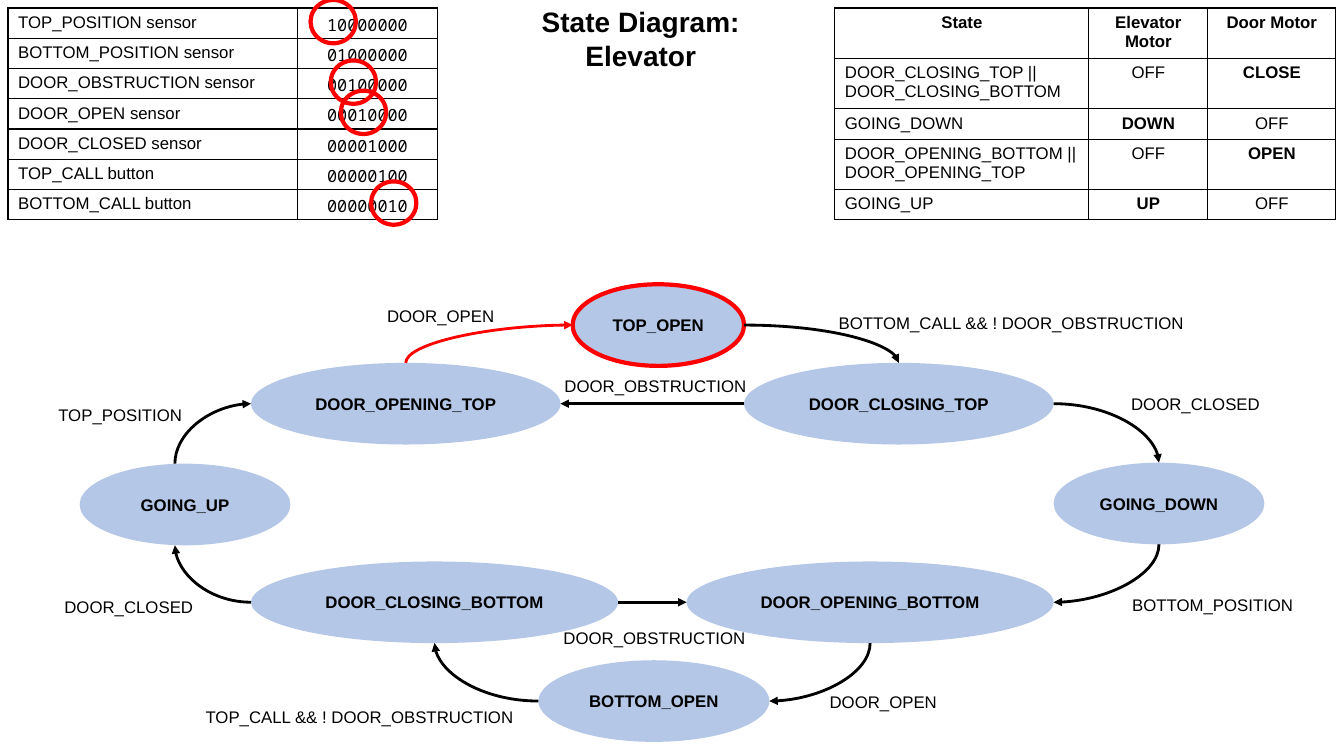
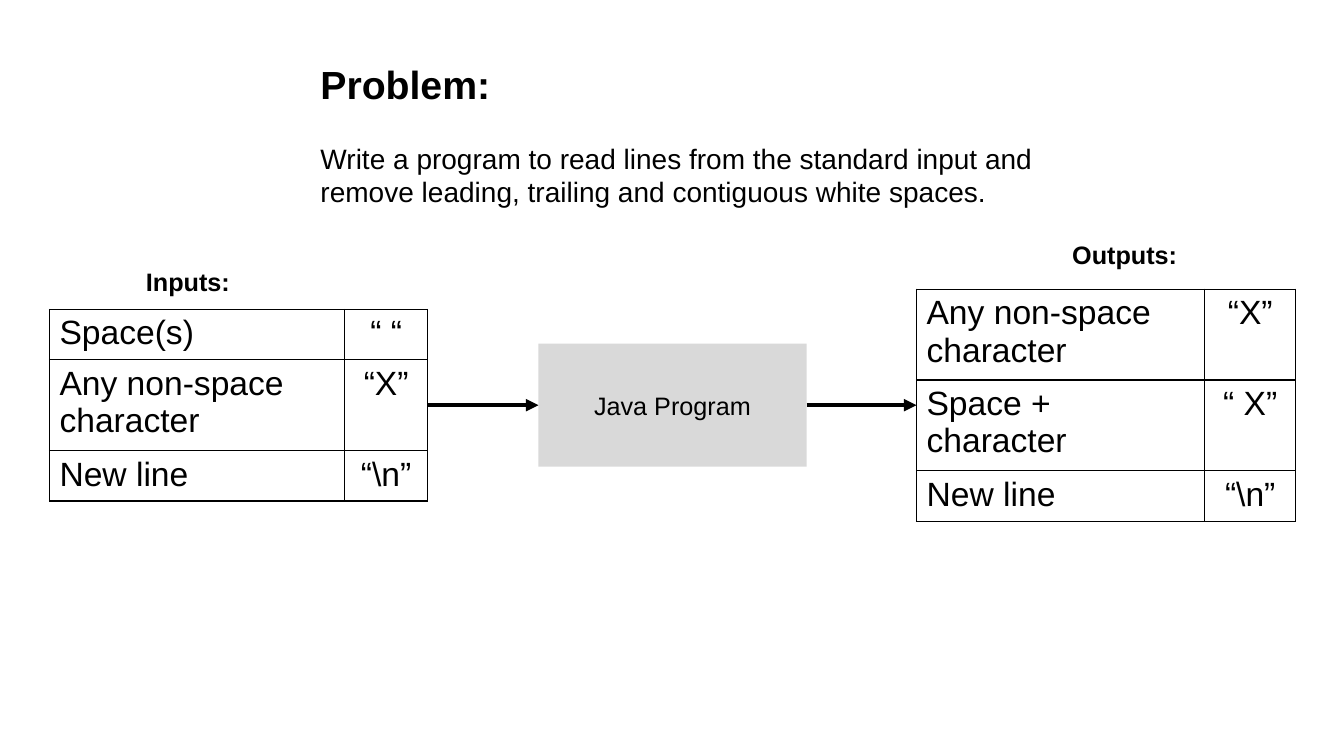
"""Build the elevator state diagram and the white space problem slides."""
from lxml import etree
from pptx import Presentation
from pptx.dml.color import RGBColor
from pptx.enum import shapes, text
from pptx.oxml.ns import qn
from pptx.util import Inches, Pt

FONT, MONO = "Arial", "Noto Sans Mono"
BLACK, RED, BLUE, GREY = "000000", "FF0000", "B4C7E7", "D9D9D9"
LEFT, CENTER = text.PP_ALIGN.LEFT, text.PP_ALIGN.CENTER

STATE_HEIGHT = 0.81
STATES = {
    "DOOR_CLOSING_TOP": (7.38, 3.6, 3.07),
    "DOOR_CLOSING_BOTTOM": (2.49, 5.57, 3.64),
    "DOOR_OPENING_TOP": (2.49, 3.6, 3.07),
    "DOOR_OPENING_BOTTOM": (6.81, 5.57, 3.64),
    "TOP_OPEN": (5.68, 2.82, 1.7),
    "BOTTOM_OPEN": (5.34, 6.55, 2.29),
    "GOING_DOWN": (10.45, 4.59, 2.09),
    "GOING_UP": (0.79, 4.6, 2.09),
}
CURRENT_STATE = "TOP_OPEN"
PORT_SHIFT = {"GOING_UP": -0.1}
SIDES = {"left": (0, 0.5), "right": (1, 0.5), "top": (0.5, 0), "bottom": (0.5, 1)}
TRANSITIONS = [
    ("DOOR_OPENING_TOP", "top", "TOP_OPEN", "left", RED),
    ("TOP_OPEN", "right", "DOOR_CLOSING_TOP", "top", BLACK),
    ("DOOR_CLOSING_TOP", "left", "DOOR_OPENING_TOP", "right", BLACK),
    ("DOOR_CLOSING_TOP", "right", "GOING_DOWN", "top", BLACK),
    ("GOING_DOWN", "bottom", "DOOR_OPENING_BOTTOM", "right", BLACK),
    ("DOOR_OPENING_BOTTOM", "bottom", "BOTTOM_OPEN", "right", BLACK),
    ("BOTTOM_OPEN", "left", "DOOR_CLOSING_BOTTOM", "bottom", BLACK),
    ("DOOR_CLOSING_BOTTOM", "right", "DOOR_OPENING_BOTTOM", "left", BLACK),
    ("DOOR_CLOSING_BOTTOM", "left", "GOING_UP", "bottom", BLACK),
    ("GOING_UP", "top", "DOOR_OPENING_TOP", "left", BLACK),
]
CONDITIONS = [
    ("DOOR_OBSTRUCTION", 5.5, 3.68, 3),
    ("DOOR_OBSTRUCTION", 5.49, 6.18, 2.02),
    ("DOOR_OPEN", 3.74, 2.98, 2.02),
    ("BOTTOM_CALL && ! DOOR_OBSTRUCTION", 8.22, 3.05, 3.7),
    ("DOOR_OPEN", 8.13, 6.81, 1.81),
    ("TOP_CALL && ! DOOR_OBSTRUCTION", 1.94, 6.96, 3.64),
    ("BOTTOM_POSITION", 11.13, 5.85, 1.81),
    ("DOOR_CLOSED", 11.12, 3.86, 1.81),
    ("DOOR_CLOSED", 0.54, 5.87, 2.02),
    ("TOP_POSITION", 0.48, 3.97, 2.02),
]
SIGNALS = [
    "TOP_POSITION sensor", "BOTTOM_POSITION sensor", "DOOR_OBSTRUCTION sensor",
    "DOOR_OPEN sensor", "DOOR_CLOSED sensor", "TOP_CALL button", "BOTTOM_CALL button",
]
CIRCLED_SIGNALS = (0, 2, 3, 6)
MOTOR_HEADER = ("State", "Elevator Motor", "Door Motor")
MOTORS = [
    MOTOR_HEADER,
    ("DOOR_CLOSING_TOP || DOOR_CLOSING_BOTTOM", "OFF", "CLOSE"),
    ("GOING_DOWN", "DOWN", "OFF"),
    ("DOOR_OPENING_BOTTOM || DOOR_OPENING_TOP", "OFF", "OPEN"),
    ("GOING_UP", "UP", "OFF"),
]
MOTOR_BOLD = MOTOR_HEADER + ("CLOSE", "DOWN", "OPEN", "UP")
INPUTS = [("Space(s)", "“ “"), ("Any non-space character", "“X”"), ("New line", "“\\n”")]
OUTPUTS = [("Any non-space character", "“X”"), ("Space + character", "“ X”"), ("New line", "“\\n”")]


def rgb(value):
    """Turn a hex string into a colour."""
    return RGBColor.from_string(value)


def style(paragraph, size, bold=False, align=LEFT, font=FONT):
    """Set the font and alignment of a paragraph."""
    paragraph.alignment = align
    paragraph.font.name = font
    paragraph.font.size = Pt(size)
    paragraph.font.bold = bold
    paragraph.font.color.rgb = rgb(BLACK)


def add_label(slide, words, left, top, width, height=0.3, size=12, bold=False, align=LEFT):
    """Add a wrapping text box and return its frame."""
    frame = slide.shapes.add_textbox(*map(Inches, (left, top, width, height))).text_frame
    frame.word_wrap = True
    frame.auto_size = text.MSO_AUTO_SIZE.SHAPE_TO_FIT_TEXT
    frame.text = words
    style(frame.paragraphs[0], size, bold, align)
    return frame


def add_node(slide, kind, box, words="", fill=None, outline=None, size=12, bold=False):
    """Add a preset shape with optional fill, outline and centred text."""
    node = slide.shapes.add_shape(kind, *map(Inches, box))
    node.shadow.inherit = False
    if fill:
        node.fill.solid()
        node.fill.fore_color.rgb = rgb(fill)
    else:
        node.fill.background()
    if outline:
        node.line.color.rgb = rgb(outline)
        node.line.width = Pt(3)
    else:
        node.line.fill.background()
    if words:
        frame = node.text_frame
        frame.vertical_anchor = text.MSO_ANCHOR.MIDDLE
        frame.text = words
        style(frame.paragraphs[0], size, bold, CENTER)


def add_arrow(slide, kind, start, end, color=BLACK, width=2):
    """Add a connector with an arrowhead at its end and return its properties."""
    arrow = slide.shapes.add_connector(kind, *map(Inches, start + end))
    arrow.line.color.rgb = rgb(color)
    arrow.line.width = Pt(width)
    properties = arrow._element.spPr
    etree.SubElement(properties.find(qn("a:ln")), qn("a:tailEnd"), type="triangle")
    etree.SubElement(properties, qn("a:effectLst"))
    return properties


def port(state, side):
    """Return the point where arrows meet one side of a state."""
    left, top, width = STATES[state]
    across, down = SIDES[side]
    shift = PORT_SHIFT.get(state, 0) if across == 0.5 else 0
    return left + across * width + shift, top + down * STATE_HEIGHT


def add_transition(slide, source, source_side, target, target_side, color):
    """Add a curved arrow that leaves and enters states square to their sides."""
    start, end = port(source, source_side), port(target, target_side)
    leaves_upright = source_side in ("top", "bottom")
    if leaves_upright:
        middle_x, middle_y = (start[0] + end[0]) / 2, (start[1] + end[1]) / 2
        half_x, half_y = (end[1] - start[1]) / 2, (start[0] - end[0]) / 2
        start = (middle_x - half_x, middle_y - half_y)
        end = (middle_x + half_x, middle_y + half_y)
    properties = add_arrow(slide, shapes.MSO_CONNECTOR.CURVE, start, end, color)
    if leaves_upright:
        properties.find(qn("a:xfrm")).set("rot", str(90 * 60000))
    if leaves_upright or target_side in ("top", "bottom"):
        properties.find(qn("a:prstGeom")).set("prst", "curvedConnector2")


def add_borders(cell):
    """Draw a thin black line on each side of a cell."""
    properties = cell._tc.get_or_add_tcPr()
    for place, side in enumerate(("lnL", "lnR", "lnT", "lnB")):
        border = etree.Element(qn("a:" + side), w=str(Pt(1)))
        fill = etree.SubElement(border, qn("a:solidFill"))
        etree.SubElement(fill, qn("a:srgbClr"), val=BLACK)
        properties.insert(place, border)


def add_grid(slide, rows, left, top, widths, heights, size=12, bold=(), header=False, code_font=FONT):
    """Add a bordered table with centred columns after the first."""
    box = map(Inches, (left, top, sum(widths), sum(heights)))
    table = slide.shapes.add_table(len(rows), len(widths), *box).table
    table.first_row = table.horz_banding = False
    for column, width in zip(table.columns, widths):
        column.width = Inches(width)
    for r, (row, height) in enumerate(zip(rows, heights)):
        table.rows[r].height = Inches(height)
        for c, words in enumerate(row):
            cell = table.cell(r, c)
            cell.text = words
            cell.margin_bottom = 0
            cell.fill.background()
            add_borders(cell)
            align = CENTER if c or (header and r == 0) else LEFT
            style(cell.text_frame.paragraphs[0], size, words in bold, align, code_font if c else FONT)


def build_elevator(slide):
    """Draw the elevator states, their transitions and both tables."""
    ellipse = shapes.MSO_SHAPE.OVAL
    add_label(slide, "State Diagram: Elevator", 4.76, 0, 3.19, 0.77, 20, True, CENTER)
    codes = [(signal, format(128 >> bit, "08b")) for bit, signal in enumerate(SIGNALS)]
    add_grid(slide, codes, 0.08, 0.08, (2.87, 1.39), [0.3] * len(codes), code_font=MONO)
    add_grid(slide, MOTORS, 8.28, 0.08, (2.52, 1.18, 1.27), (0.5, 0.5, 0.3, 0.5, 0.3),
             bold=MOTOR_BOLD, header=True)
    for state, (left, top, width) in STATES.items():
        outline = RED if state == CURRENT_STATE else None
        add_node(slide, ellipse, (left, top, width, STATE_HEIGHT), state, BLUE, outline, bold=True)
    for transition in TRANSITIONS:
        add_transition(slide, *transition)
    for condition in CONDITIONS:
        add_label(slide, *condition)
    for bit in CIRCLED_SIGNALS:
        add_node(slide, ellipse, (3.08 + 0.1 * bit, 0.3 * bit, 0.45, 0.43), outline=RED)


def build_problem(slide):
    """Show the problem with its inputs, program and outputs."""
    statement = add_label(slide, "Problem:", 3.08, 0.55, 7.45, 1.58, 28, True)
    task = statement.add_paragraph()
    task.text = ("Write a program to read lines from the standard input and "
                 "remove leading, trailing and contiguous white spaces.")
    task.space_before = Pt(24)
    style(task, 20)
    add_node(slide, shapes.MSO_SHAPE.RECTANGLE, (5.34, 3.41, 2.66, 1.22), "Java Program", GREY, size=18)
    add_label(slide, "Inputs:", 1.25, 2.59, 1.23, 0.4, 18, True, CENTER)
    add_label(slide, "Outputs:", 10.53, 2.33, 1.25, 0.4, 18, True, CENTER)
    add_grid(slide, INPUTS, 0.49, 3.07, (2.93, 0.82), (0.5, 0.9, 0.5), 24)
    add_grid(slide, OUTPUTS, 9.09, 2.87, (2.86, 0.9), (0.9, 0.9, 0.5), 24)
    for start, end in ((4.24, 5.34), (8, 9.09)):
        add_arrow(slide, shapes.MSO_CONNECTOR.STRAIGHT, (start, 4.02), (end, 4.02), width=3)


def main():
    """Build and save the presentation."""
    deck = Presentation()
    deck.slide_width, deck.slide_height = Inches(13.33), Inches(7.5)
    blank = deck.slide_layouts[6]
    for build in (build_elevator, build_problem):
        build(deck.slides.add_slide(blank))
    deck.save("out.pptx")


main()
